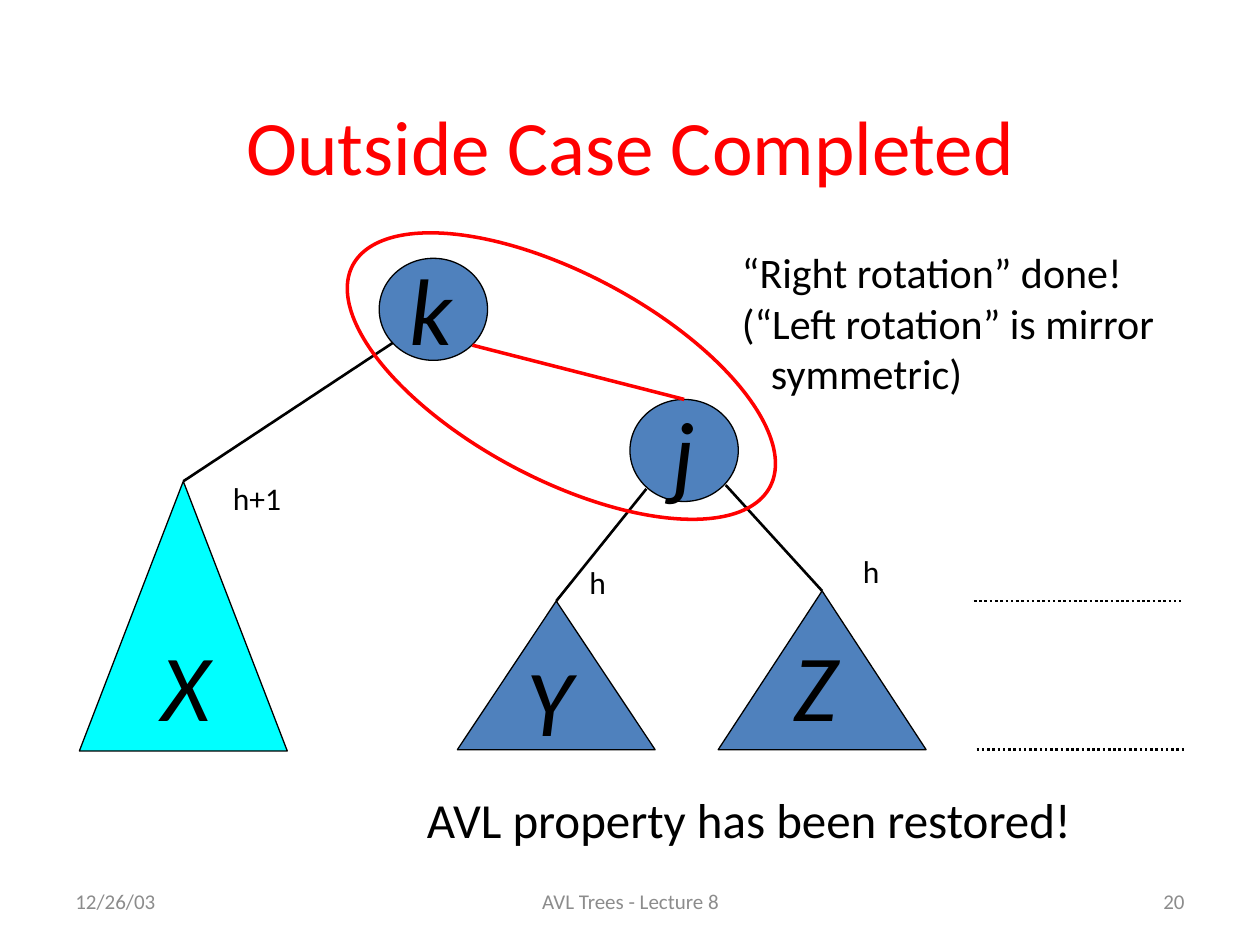
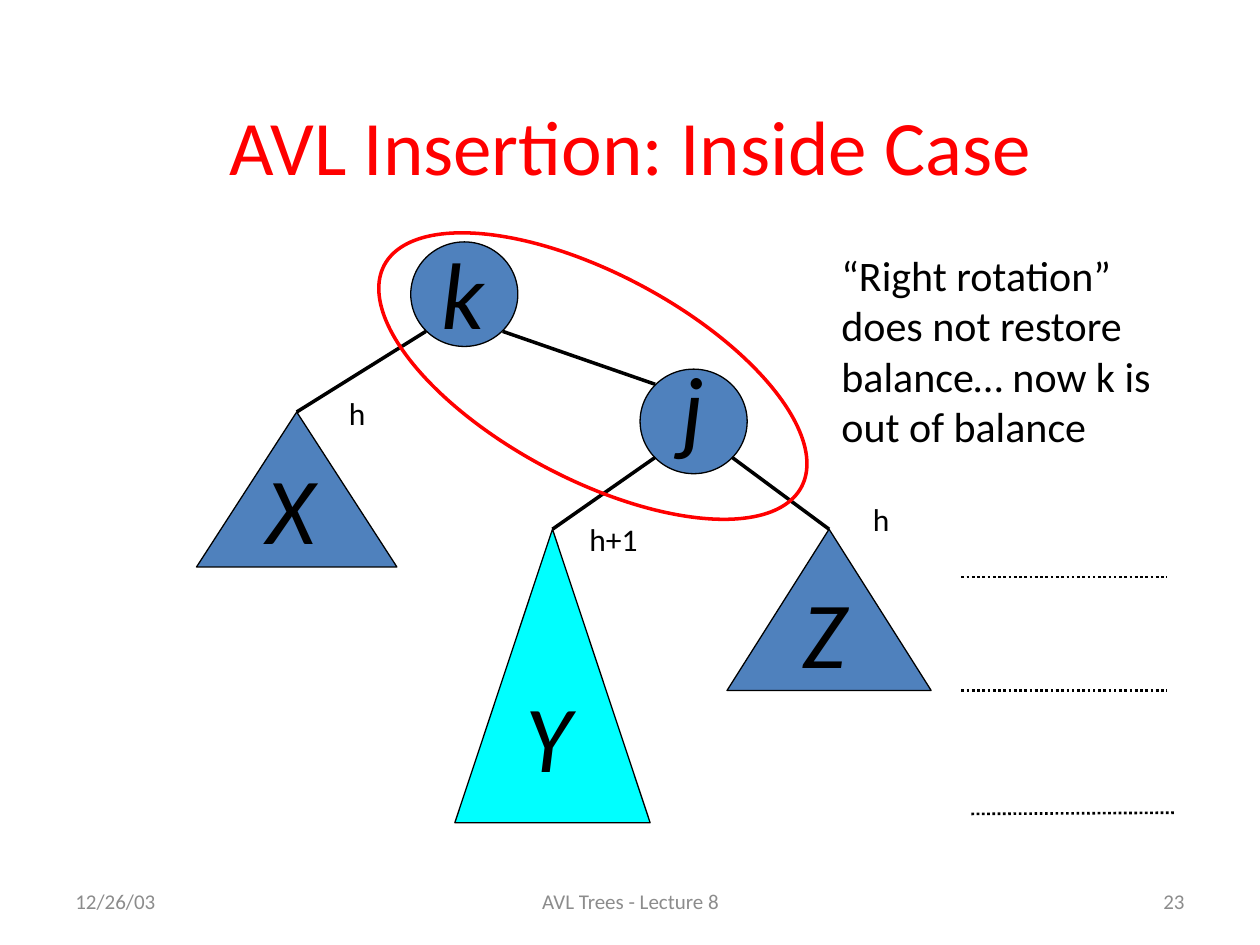
from lxml.etree import SubElement
from pptx import Presentation
from pptx.dml.color import RGBColor
from pptx.enum.dml import MSO_LINE
from pptx.enum.shapes import MSO_CONNECTOR, MSO_SHAPE
from pptx.enum.text import MSO_ANCHOR, PP_ALIGN
from pptx.oxml.ns import qn
from pptx.util import Inches, Pt

BLACK, RED, BLUE, CYAN, GREY = "000000", "FF0000", "4F81BD", "00FFFF", "8C8C8C"
TITLE_AT = (0.73, 0.71, 8.55, 0.88)
HALO_SIZE = (3.75, 1.63)
HALO_TILT = 28
FOOTER_TOP, FOOTER_HEIGHT = 6.95, 0.4
LECTURE_DATE, LECTURE_NAME = "12/26/03", "AVL Trees - Lecture 8"
LETTER = {"size": Pt(54), "italic": True}
HEIGHT_LABEL = {"size": Pt(18)}
NOTE = {"size": Pt(24)}
CONCLUSION = {"size": Pt(28)}
FOOTER = {"size": Pt(12)}
TITLE = {"size": Pt(44)}


def rgb(hex_color):
    return RGBColor.from_string(hex_color)


def inches(values):
    return [Inches(value) for value in values]


def write(frame, lines, style, color=BLACK, align=PP_ALIGN.LEFT, anchor=MSO_ANCHOR.TOP):
    frame.vertical_anchor = anchor
    for index, line in enumerate(lines):
        paragraph = frame.add_paragraph() if index else frame.paragraphs[0]
        paragraph.text = line
        paragraph.alignment = align
        for name, value in {"name": "Calibri", **style}.items():
            setattr(paragraph.font, name, value)
        paragraph.font.color.rgb = rgb(color)


def add_text(slide, at, lines, style, **placement):
    frame = slide.shapes.add_textbox(*inches(at)).text_frame
    frame.word_wrap = True
    write(frame, lines, style, **placement)
    return frame


def add_letter(slide, letter, left, top):
    add_text(slide, (left, top, 0.53, 1), [letter], LETTER)


def add_height(slide, label, left, top):
    width = 0.36 if label == "h" else 0.67
    add_text(slide, (left, top, width, 0.43), [label], HEIGHT_LABEL)


def add_outline(slide, preset, at, fill=None, line=BLACK, weight=0.75):
    shape = slide.shapes.add_shape(preset, *inches(at))
    shape.shadow.inherit = False
    if fill:
        shape.fill.solid()
        shape.fill.fore_color.rgb = rgb(fill)
    else:
        shape.fill.background()
    shape.line.color.rgb = rgb(line)
    shape.line.width = Pt(weight)
    return shape


def add_node(slide, *at):
    return add_outline(slide, MSO_SHAPE.OVAL, at, BLUE)


def add_subtree(slide, *at, fill=BLUE):
    return add_outline(slide, MSO_SHAPE.ISOSCELES_TRIANGLE, at, fill)


def add_halo(slide, left, top):
    halo = add_outline(slide, MSO_SHAPE.OVAL, (left, top, *HALO_SIZE), line=RED, weight=2)
    halo.rotation = HALO_TILT


def add_line(slide, start, end, color=BLACK, weight=1.5):
    line = slide.shapes.add_connector(MSO_CONNECTOR.STRAIGHT, *inches(start + end))
    line.line.color.rgb = rgb(color)
    line.line.width = Pt(weight)
    SubElement(line._element.spPr, qn("a:effectLst"))
    return line


def add_edge(slide, start, child, **look):
    add_line(slide, start, start, **look).end_connect(child, 0)


def add_level(slide, start, end):
    add_line(slide, start, end).line.dash_style = MSO_LINE.ROUND_DOT


def add_lecture_slide(deck, title, number):
    slide = deck.slides.add_slide(deck.slide_layouts[5])
    heading = slide.shapes.title
    heading.left, heading.top, heading.width, heading.height = inches(TITLE_AT)
    write(heading.text_frame, [title], TITLE, RED, PP_ALIGN.CENTER, MSO_ANCHOR.MIDDLE)
    for left, width, content, align in (
        (0.5, 2.33, LECTURE_DATE, PP_ALIGN.LEFT),
        (3.42, 3.17, LECTURE_NAME, PP_ALIGN.CENTER),
        (7.17, 2.33, number, PP_ALIGN.RIGHT),
    ):
        add_text(slide, (left, FOOTER_TOP, width, FOOTER_HEIGHT), [content], FOOTER,
                 color=GREY, align=align, anchor=MSO_ANCHOR.MIDDLE)
    return slide


def add_outside_case(deck):
    slide = add_lecture_slide(deck, "Outside Case Completed", "20")
    node_j = add_node(slide, 5, 3.17, 0.86, 0.81)
    node_j.text_frame.word_wrap = False
    write(node_j.text_frame, ["j"], LETTER, align=PP_ALIGN.CENTER, anchor=MSO_ANCHOR.MIDDLE)
    add_node(slide, 3.01, 2.05, 0.86, 0.81)
    subtree_x = add_subtree(slide, 0.63, 3.82, 1.65, 2.14, fill=CYAN)
    subtree_y = add_subtree(slide, 3.63, 4.77, 1.57, 1.18)
    subtree_z = add_subtree(slide, 5.7, 4.69, 1.65, 1.26)
    for letter, left, top in (("k", 3.15, 1.94), ("X", 1.18, 4.93),
                              ("Y", 4.08, 5.05), ("Z", 6.2, 4.93)):
        add_letter(slide, letter, left, top)
    add_level(slide, (7.73, 4.77), (9.37, 4.77))
    add_level(slide, (7.75, 5.95), (9.4, 5.95))
    rotation_note = add_text(
        slide, (5.79, 1.91, 3.59, 1.3),
        ["“Right rotation” done!", "(“Left rotation” is mirror", "symmetric)"], NOTE)
    rotation_note.paragraphs[-1]._p.get_or_add_pPr().set("marL", str(Inches(0.23)))
    for start, subtree in (((3.12, 2.72), subtree_x), ((5.13, 3.88), subtree_y),
                           ((5.76, 3.85), subtree_z)):
        add_edge(slide, start, subtree)
    add_text(slide, (3.29, 6.22, 5.83, 0.57), ["AVL property has been restored!"], CONCLUSION)
    add_edge(slide, (3.75, 2.74), node_j, color=RED, weight=2)
    add_halo(slide, 2.58, 2.17)
    for label, left, top in (("h", 6.75, 4.33), ("h+1", 1.75, 3.75), ("h", 4.58, 4.42)):
        add_height(slide, label, left, top)


def add_inside_case(deck):
    slide = add_lecture_slide(deck, "AVL Insertion: Inside Case", "23")
    add_node(slide, 5.08, 2.93, 0.85, 0.83)
    add_node(slide, 3.26, 1.92, 0.85, 0.83)
    subtree_x = add_subtree(slide, 1.56, 3.27, 1.59, 1.23)
    subtree_y = add_subtree(slide, 3.61, 4.2, 1.55, 2.33, fill=CYAN)
    subtree_z = add_subtree(slide, 5.77, 4.2, 1.62, 1.28)
    for letter, left, top in (("j", 5.31, 2.72), ("k", 3.41, 1.82), ("X", 2.02, 3.52),
                              ("Y", 4.07, 5.33), ("Z", 6.27, 4.51)):
        add_letter(slide, letter, left, top)
    for start, subtree in (((3.38, 2.63), subtree_x), ((5.2, 3.63), subtree_y),
                           ((5.81, 3.63), subtree_z)):
        add_edge(slide, start, subtree, weight=2)
    add_line(slide, (3.99, 2.63), (5.2, 3.05), weight=2)
    for start, end in (((7.63, 4.58), (9.26, 4.58)), ((7.63, 5.48), (9.26, 5.48)),
                       ((7.71, 6.46), (9.33, 6.45))):
        add_level(slide, start, end)
    add_text(slide, (6.58, 1.93, 3, 1.7),
             ["“Right rotation”", "does not restore", "balance… now k is", "out of balance"], NOTE)
    add_halo(slide, 2.83, 2.17)
    for label, left, top in (("h", 6.83, 3.92), ("h+1", 4.58, 4.08), ("h", 2.67, 3.08)):
        add_height(slide, label, left, top)


def main():
    deck = Presentation()
    deck.slide_width, deck.slide_height = inches((10, 7.5))
    add_outside_case(deck)
    add_inside_case(deck)
    deck.save("out.pptx")


if __name__ == "__main__":
    main()
